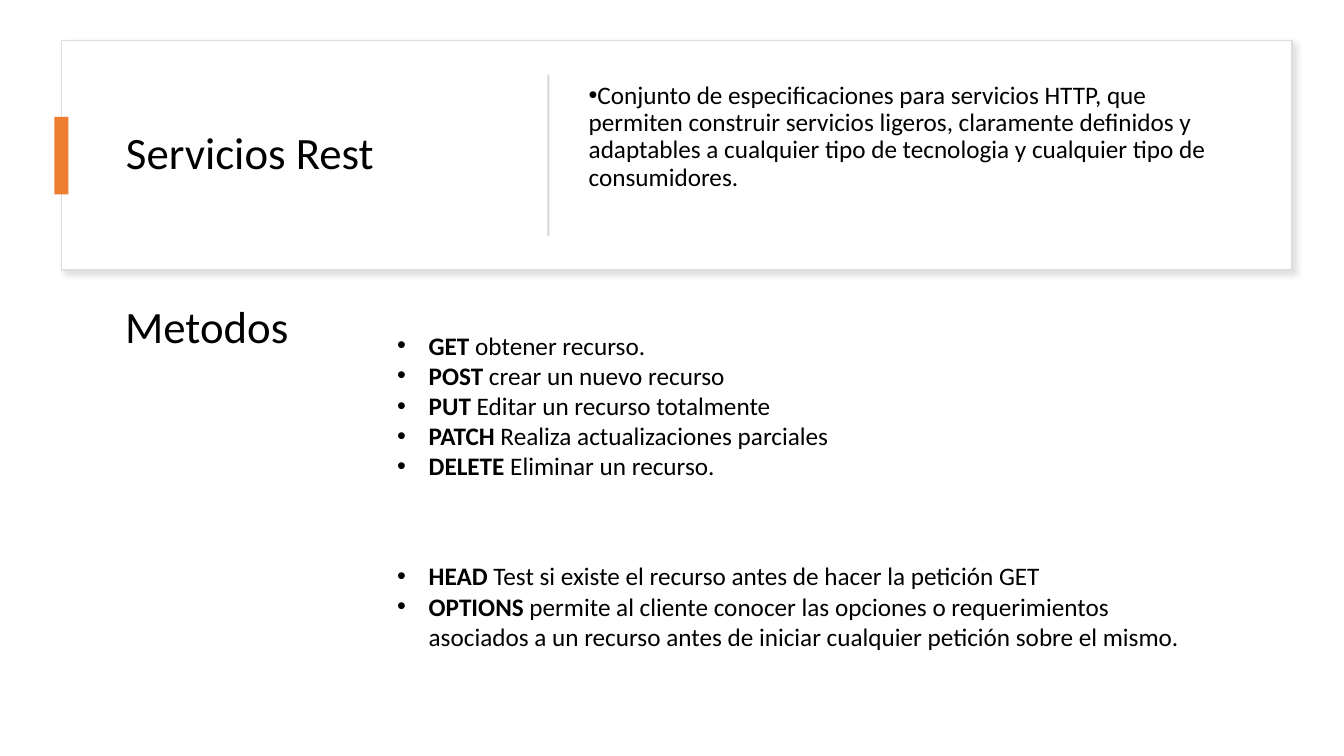
"""Build the slide on REST services and their HTTP methods."""
from dataclasses import dataclass

from lxml import etree
from pptx import Presentation
from pptx.dml.color import RGBColor
from pptx.enum.shapes import MSO_SHAPE
from pptx.enum.text import MSO_ANCHOR, MSO_AUTO_SIZE, PP_ALIGN
from pptx.oxml.ns import qn
from pptx.util import Pt

RECTANGLE = MSO_SHAPE.RECTANGLE
MIDDLE = MSO_ANCHOR.MIDDLE
LEFT = PP_ALIGN.LEFT
NO_AUTOFIT = MSO_AUTO_SIZE.NONE
COMPARISON_LAYOUT = 4


@dataclass(frozen=True)
class Theme:
    font: str = "Calibri"
    heading_size: int = 32
    body_size: int = 18
    text: str = "000000"
    card: str = "FFFFFF"
    border: str = "DEDEDE"
    accent: str = "ED7D31"
    divider: str = "D5D5D5"
    shadow: str = "C5C3C3"


THEME = Theme()

TITLE = "Servicios Rest"
METHODS_TITLE = "Metodos"
DESCRIPTION = (
    "Conjunto de especificaciones para servicios HTTP, que permiten construir "
    "servicios ligeros, claramente definidos y adaptables a cualquier tipo de "
    "tecnologia y cualquier tipo de consumidores."
)
MAIN_METHODS = [
    ("GET", "obtener recurso."),
    ("POST", "crear un nuevo recurso"),
    ("PUT", "Editar un recurso totalmente"),
    ("PATCH", "Realiza actualizaciones parciales"),
    ("DELETE", "Eliminar un recurso."),
]
OTHER_METHODS = [
    ("HEAD", "Test si existe el recurso antes de hacer la petición GET"),
    ("OPTIONS", "permite al cliente conocer las opciones o requerimientos asociados "
                "a un recurso antes de iniciar cualquier petición sobre el mismo."),
]

BOX_HEIGHT = 129.6
LIST_LEFT, LIST_WIDTH = 276.5, 584
LIST_INDENT, DESCRIPTION_HANG = 22.5, 18
DESCRIPTION_INSET, LIST_INSET = 29.4, 23.4


def add_panel(slide, bounds, fill):
    """Draw a plain rectangle behind the text."""
    shape = slide.shapes.add_shape(RECTANGLE, *map(Pt, bounds))
    shape.shadow.inherit = False
    shape.fill.solid()
    shape.fill.fore_color.rgb = RGBColor.from_string(fill)
    shape.line.fill.background()
    slide.shapes.title.element.addprevious(shape.element)
    return shape


def add_card(slide, bounds):
    """Draw the outlined card with its soft shadow."""
    card = add_panel(slide, bounds, THEME.card)
    card.line.color.rgb = RGBColor.from_string(THEME.border)
    card.line.width = Pt(1)
    effects = card.element.spPr.find(qn("a:effectLst"))
    shadow = etree.SubElement(effects, qn("a:outerShdw"), blurRad=str(Pt(4)),
                              dist=str(Pt(3)), dir=str(45 * 60000))
    color = etree.SubElement(shadow, qn("a:srgbClr"), val=THEME.shadow)
    etree.SubElement(color, qn("a:alpha"), val="50000")


def place(placeholder, left, top, width, bottom_inset=3.6):
    """Position a placeholder and return its text frame."""
    placeholder.left, placeholder.top = Pt(left), Pt(top)
    placeholder.width, placeholder.height = Pt(width), Pt(BOX_HEIGHT)
    frame = placeholder.text_frame
    frame.word_wrap = True
    frame.auto_size = NO_AUTOFIT
    frame.vertical_anchor = MIDDLE
    frame.margin_left = frame.margin_right = Pt(7.2)
    frame.margin_top, frame.margin_bottom = Pt(3.6), Pt(bottom_inset)
    return frame


def format_paragraph(paragraph, size, line_spacing):
    """Apply the shared paragraph style."""
    paragraph.alignment = LEFT
    paragraph.line_spacing = line_spacing
    paragraph.space_before = paragraph.space_after = Pt(0)
    paragraph.font.name = THEME.font
    paragraph.font.size = Pt(size)
    paragraph.font.bold = False
    paragraph.font.color.rgb = RGBColor.from_string(THEME.text)


def add_bullet(paragraph, margin, hang):
    """Give a paragraph a round bullet with a hanging indent."""
    properties = paragraph._p.get_or_add_pPr()
    properties.set("marL", str(Pt(margin)))
    properties.set("indent", str(Pt(-hang)))
    etree.SubElement(properties, qn("a:buFont"), typeface="Arial")
    etree.SubElement(properties, qn("a:buChar"), char="•")


def fill_heading(frame, text):
    """Write a section heading."""
    frame.text = text
    format_paragraph(frame.paragraphs[0], THEME.heading_size, 0.9)


def fill_description(frame, text):
    """Write the bulleted description."""
    frame.text = text
    add_bullet(frame.paragraphs[0], 0, DESCRIPTION_HANG)
    format_paragraph(frame.paragraphs[0], THEME.body_size, 0.9)


def fill_methods(frame, methods):
    """Write one bullet per method with its name in bold."""
    for index, (name, meaning) in enumerate(methods):
        paragraph = frame.add_paragraph() if index else frame.paragraphs[0]
        add_bullet(paragraph, LIST_INDENT, LIST_INDENT)
        format_paragraph(paragraph, THEME.body_size, 1.0)
        for text, bold in ((name, True), (f" {meaning}", False)):
            run = paragraph.add_run()
            run.text = text
            run.font.bold = bold


def main():
    """Assemble and save the slide."""
    presentation = Presentation()
    presentation.slide_width, presentation.slide_height = Pt(960), Pt(540)
    slide = presentation.slides.add_slide(presentation.slide_layouts[COMPARISON_LAYOUT])
    title, methods_title, description, main_list, other_list = slide.placeholders

    add_card(slide, (43.9, 28.8, 879.1, 164.2))
    add_panel(slide, (38.9, 83.5, 10.1, 55.4), THEME.accent)
    add_panel(slide, (391, 53.3, 1.44, 115.2), THEME.divider)

    fill_heading(place(title, 82.8, 46.1, 288), TITLE)
    fill_heading(place(methods_title, 82.1, 169.9, 288), METHODS_TITLE)
    fill_description(place(description, 413.3, 46.1, 481, DESCRIPTION_INSET), DESCRIPTION)
    for placeholder, top, methods in ((main_list, 234.7, MAIN_METHODS),
                                      (other_list, 378, OTHER_METHODS)):
        fill_methods(place(placeholder, LIST_LEFT, top, LIST_WIDTH, LIST_INSET), methods)

    presentation.save("out.pptx")


if __name__ == "__main__":
    main()
